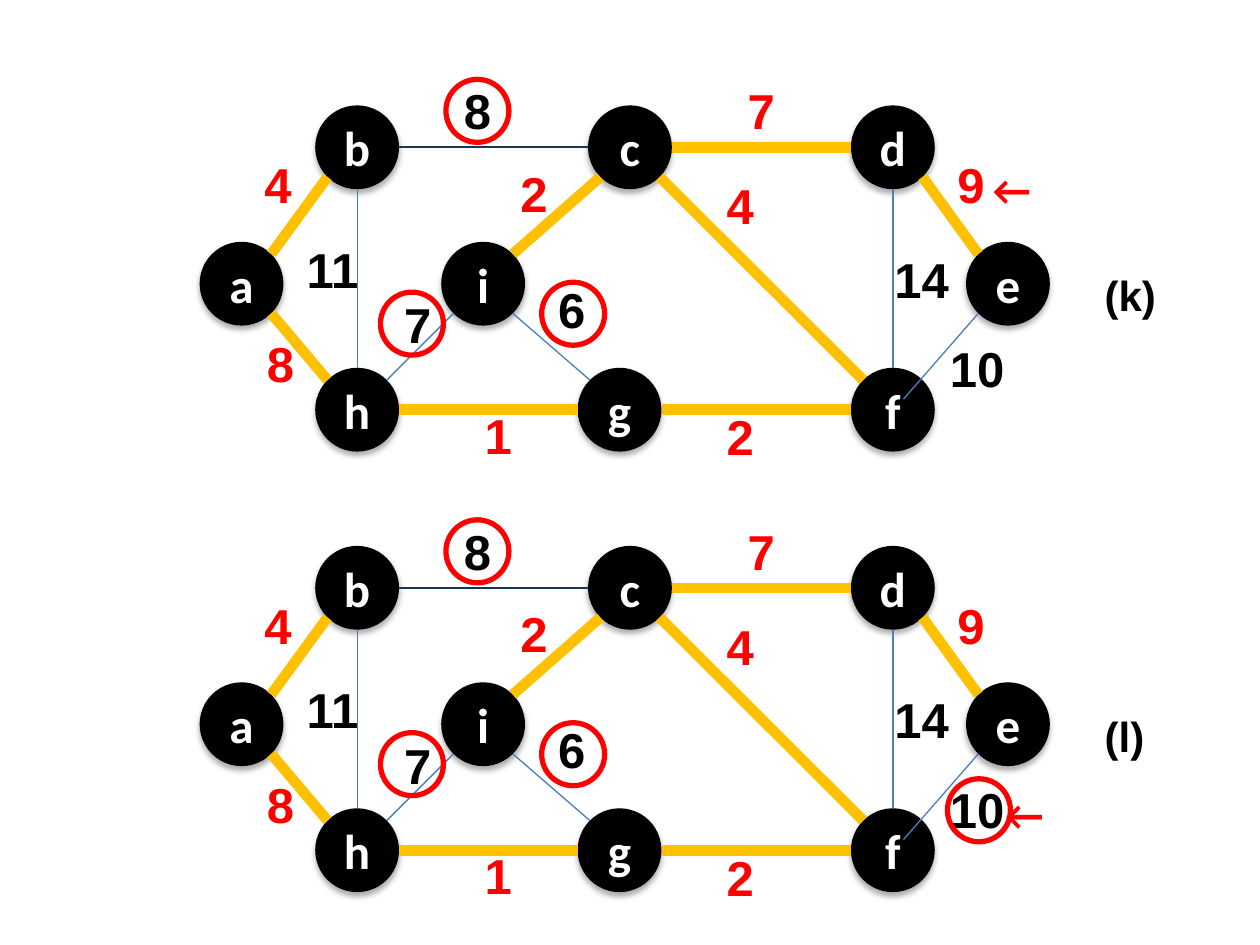
from math import atan2, cos, hypot, pi, sin

from lxml import etree
from pptx import Presentation
from pptx.dml.color import RGBColor
from pptx.enum import shapes, text
from pptx.oxml import ns
from pptx.util import Cm, Pt

HUE = {"ink": "000000", "red": "FF0000", "gold": "FFC000",
       "blue": "4B7EBC", "navy": "17375E", "white": "FFFFFF"}

# Rows and nodes, as centres in cm
TOP, MID, LOW = 2.97, 5.72, 8.26
NODES = {"b": (7.2, TOP), "c": (12.7, TOP), "d": (18, TOP),
         "a": (4.87, MID), "i": (9.74, MID), "e": (20.32, MID),
         "h": (7.2, LOW), "g": (12.49, LOW), "f": (18, LOW)}
SIZE, RING, STEP = 1.69, 1.27, 8.88
WIDE, SLIM = 1.69, 1.27

STYLES = {"tree": ("gold", 6, "red"),
          "plain": ("blue", 0.75, "ink"),
          "dark": ("navy", 1, "ink")}

# ends, style, weight, then left, top and width of the weight
EDGES = [("bc", "dark", "8", 9.1, 1.5, SLIM),
         ("cd", "tree", "7", 14.82, 1.5, SLIM),
         ("gf", "tree", "2", 14.4, 8.08, WIDE),
         ("hg", "tree", "1", 9.52, 8.05, WIDE),
         ("df", "plain", "14", 17.78, 4.9, WIDE),
         ("bh", "plain", "11", 5.93, 4.7, WIDE),
         ("ba", "tree", "4", 5.08, 3, SLIM),
         ("de", "tree", "9", 19.05, 3, SLIM),
         ("ah", "tree", "8", 5.13, 6.6, WIDE),
         ("ef", "plain", "10", 18.9, 6.7, WIDE),
         ("ci", "tree", "2", 10.24, 3.17, WIDE),
         ("ih", "plain", "7", 7.9, 5.82, WIDE),
         ("ig", "plain", "6", 11, 5.51, WIDE),
         ("cf", "tree", "4", 14.4, 3.42, WIDE)]
INSIDE = {"ef": 0.3}  # this edge runs on into its last node

RINGS = [(10.92, 5.69), (7.67, 5.89), (8.99, 1.6)]
STAGES = [("(k)", (19.76, 3.18), RINGS),
          ("(l)", (20.02, 6.89), RINGS + [(19.1, 6.82)])]


def rgb(name):
    return RGBColor.from_string(HUE[name])


def write(frame, words, size, font, hue):
    run = frame.paragraphs[0].add_run()
    run.text = words
    run.font.size, run.font.name, run.font.bold = Pt(size), font, True
    run.font.color.rgb = rgb(hue)


def label(home, words, x, y, w, h, size, font, hue):
    frame = home.add_textbox(Cm(x), Cm(y), Cm(w), Cm(h)).text_frame
    frame.word_wrap = True
    frame.auto_size = text.MSO_AUTO_SIZE.SHAPE_TO_FIT_TEXT
    write(frame, words, size, font, hue)


def disc(home, x, y, size):
    shape = home.add_shape(shapes.MSO_SHAPE.OVAL, Cm(x), Cm(y), Cm(size), Cm(size))
    shape.shadow.inherit = False
    return shape


def shade(shape):
    """Give the shape a soft shadow that falls straight down."""
    glow = etree.SubElement(
        shape.element.spPr.find(ns.qn("a:effectLst")), ns.qn("a:outerShdw"),
        blurRad=str(Pt(3.5)), dist=str(Pt(2.2)), dir="5400000", rotWithShape="0")
    tint = etree.SubElement(glow, ns.qn("a:srgbClr"), val=HUE["ink"])
    etree.SubElement(tint, ns.qn("a:alpha"), val="32000")


def node(home, name, x, y):
    shape = disc(home, x - SIZE / 2, y - SIZE / 2, SIZE)
    shape.fill.solid()
    shape.fill.fore_color.rgb = rgb("ink")
    shape.line.fill.background()
    shade(shape)
    frame = shape.text_frame
    frame.vertical_anchor = text.MSO_ANCHOR.MIDDLE
    frame.paragraphs[0].alignment = text.PP_ALIGN.CENTER
    write(frame, name, 28, "Calibri", "white")


def rim(start, goal, reach):
    """Point at reach from start, in the eighth of a turn nearest to goal."""
    (x, y), (p, q) = start, goal
    turn = round(atan2(q - y, p - x) / (pi / 4)) * pi / 4
    return x + reach * cos(turn), y + reach * sin(turn)


def edge(home, ends, style, drop):
    start, goal = (NODES[end] for end in ends)
    x, y = rim(start, goal, SIZE / 2)
    p, q = rim(goal, start, INSIDE.get(ends, SIZE / 2))
    line = home.add_connector(shapes.MSO_CONNECTOR.STRAIGHT,
                              Cm(x), Cm(y + drop), Cm(p), Cm(q + drop))
    hue, width, _ = STYLES[style]
    line.line.color.rgb, line.line.width = rgb(hue), Pt(width)
    etree.SubElement(line.element.spPr, ns.qn("a:effectLst"))


def ring(home, x, y):
    shape = disc(home, x, y, RING)
    shape.fill.background()
    shape.line.color.rgb, shape.line.width = rgb("red"), Pt(3)


def graph(home, drop):
    for name, (x, y) in NODES.items():
        node(home, name, x, y + drop)
    for ends, style, *_ in EDGES:
        edge(home, ends, style, drop)
    for _, style, weight, x, y, w in EDGES:
        label(home, weight, x, y + drop, w, 1.45, 28, "Arial", STYLES[style][2])


def main():
    deck = Presentation()
    deck.slide_width, deck.slide_height = Cm(25.4), Cm(19.05)
    home = deck.slides.add_slide(deck.slide_layouts[6]).shapes
    for row, (name, (x, y), rings) in enumerate(STAGES):
        drop = row * STEP
        graph(home.add_group_shape().shapes, drop)
        label(home, "←", x, y + drop, 1.47, 1.27, 24, "Calibri", "red")
        label(home, name, 22.02, 5.31 + drop, 2.11, 1.27, 24, "Arial", "ink")
        for left, top in rings:
            ring(home, left, top + drop)
    deck.save("out.pptx")


if __name__ == "__main__":
    main()
